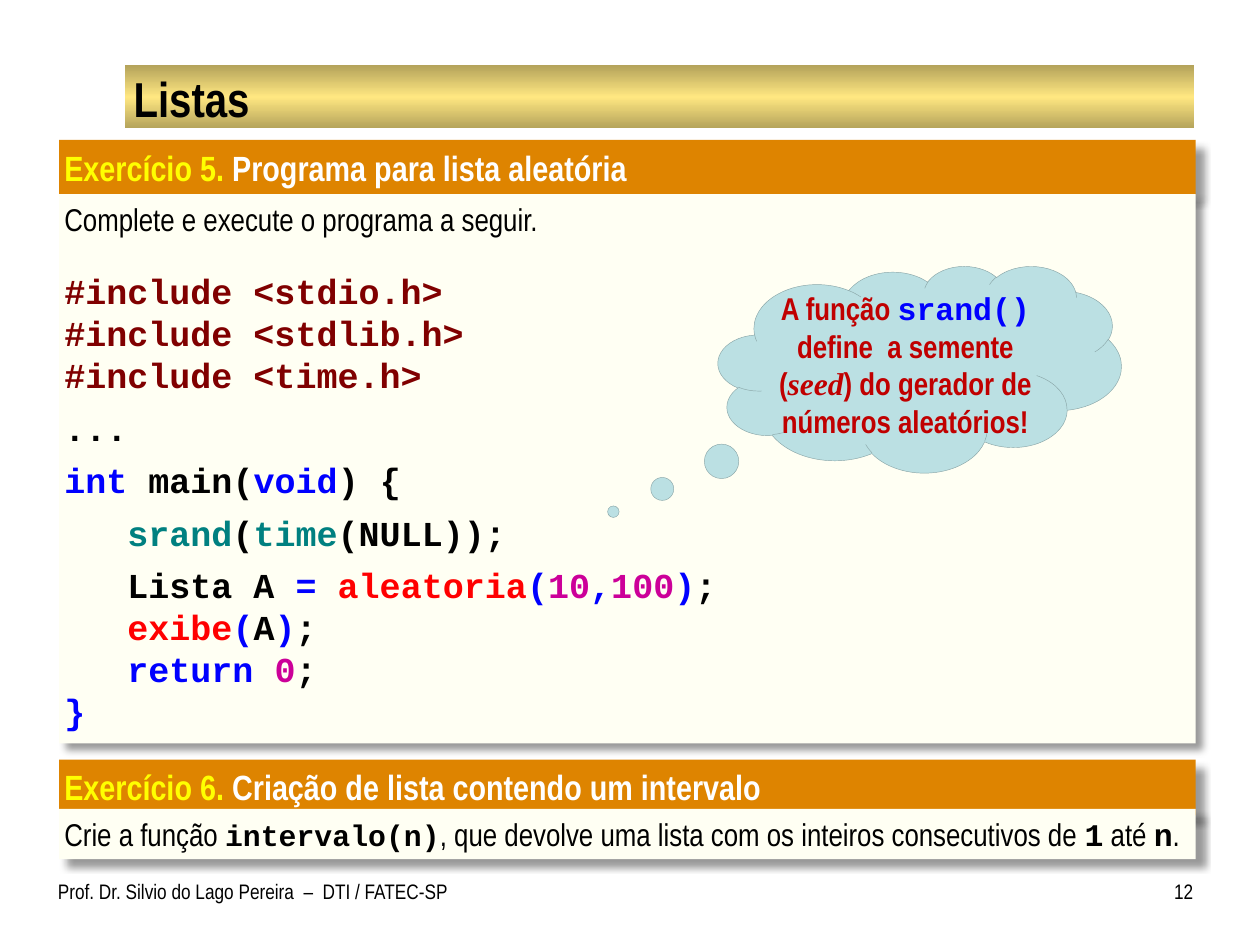
from dataclasses import dataclass, field

from lxml.etree import SubElement
from pptx import Presentation
from pptx.dml.color import RGBColor as Color
from pptx.enum.shapes import MSO_SHAPE as Shape
from pptx.enum.text import MSO_ANCHOR as Anchor
from pptx.enum.text import MSO_AUTO_SIZE as Fit
from pptx.enum.text import PP_ALIGN as Align
from pptx.oxml.ns import qn
from pptx.util import Inches, Pt


def face(size, name, colour, bold=False, italic=False):
    return {"size": Pt(size), "name": name, "bold": bold, "italic": italic, "colour": colour}


def code(colour, size=20):
    return face(size, "Courier New", colour, bold=True)


def narrow(size, colour="000000", bold=False):
    return face(size, "Arial Narrow", colour, bold)


@dataclass
class Theme:
    header: str = "DE8400"
    panel: str = "FFFFF3"
    cloud: str = "BBE0E3"
    cloud_line: str = "8AA6A8"
    bar_edge: str = "B4A35B"
    bar_middle: str = "FFE781"
    shadow: str = "000000"
    fonts: dict = field(default_factory=lambda: {
        "title": narrow(28, bold=True),
        "number": narrow(20, "FFFF00", True),
        "heading": narrow(20, "FFFFFF", True),
        "body": narrow(18),
        "footer": narrow(12),
        "include": code("800000"),
        "plain": code("000000"),
        "keyword": code("0000FF"),
        "library": code("008080"),
        "call": code("FF0000"),
        "literal": code("CC0099"),
        "signature": code("000000", 17),
        "symbol": code("000000", 18),
        "note": narrow(18, "C00000", True),
        "note code": code("0000FF", 18),
        "note term": face(18, "Times New Roman", "C00000", True, True),
    })


class ExerciseSlide:
    """Draws lecture slide elements on a grid of 100 columns by 75 rows."""

    def __init__(self, deck, theme):
        self.theme = theme
        self.cell = deck.slide_width / 100
        self.page = deck.slides.add_slide(deck.slide_layouts[5])

    def place(self, frame):
        return [round(length * self.cell) for length in frame]

    def add_text(self, box, lines, margins, **format_values):
        frame = box.text_frame
        values = {"word_wrap": True, "auto_size": Fit.NONE, "vertical_anchor": Anchor.TOP}
        values.update(format_values)
        sides = ("margin_left", "margin_top", "margin_right", "margin_bottom")
        values.update(zip(sides, map(Inches, margins)))
        for name, value in values.items():
            setattr(frame, name, value)
        for index, (spans, layout) in enumerate(lines):
            para = frame.paragraphs[0] if index == 0 else frame.add_paragraph()
            para.alignment = layout.get("align", Align.LEFT)
            para.space_before = Pt(layout.get("before", 0))
            if "indent" in layout:
                para._p.get_or_add_pPr().set("marL", str(Inches(layout["indent"])))
            for style, text in spans:
                span = para.add_run()
                span.text = text
                for name, value in self.theme.fonts[style].items():
                    if name == "colour":
                        span.font.color.rgb = Color.from_string(value)
                    else:
                        setattr(span.font, name, value)

    def shape(self, kind, frame, fill):
        box = self.page.shapes.add_shape(kind, *self.place(frame))
        box.shadow.inherit = False
        box.fill.solid()
        box.fill.fore_color.rgb = Color.from_string(fill)
        box.line.fill.background()
        return box

    def title(self, frame, text):
        box = self.page.shapes.title
        box.left, box.top, box.width, box.height = self.place(frame)
        self.add_text(box, [([("title", text)], {})], (0.06, 0.01, 0.06, 0.01),
                      vertical_anchor=Anchor.MIDDLE)

    def title_bar(self, frame):
        bar = self.shape(Shape.RECTANGLE, frame, self.theme.bar_middle)
        properties = bar._element.spPr
        solid = properties.find(qn("a:solidFill"))
        gradient = SubElement(properties, qn("a:gradFill"), rotWithShape="1")
        properties.replace(solid, gradient)
        stops = SubElement(gradient, qn("a:gsLst"))
        edge, middle = self.theme.bar_edge, self.theme.bar_middle
        for share, colour in ((0, edge), (50, middle), (100, edge)):
            stop = SubElement(stops, qn("a:gs"), pos=str(share * 1000))
            SubElement(stop, qn("a:srgbClr"), val=colour)
        SubElement(gradient, qn("a:lin"), ang="5400000", scaled="1")
        self.page.shapes._spTree.insert(2, bar._element)

    def panel(self, frame, fill, lines, right=0.04):
        box = self.shape(Shape.RECTANGLE, frame, fill)
        effects = box._element.spPr.find(qn("a:effectLst"))
        shadow = SubElement(effects, qn("a:outerShdw"), blurRad=str(Pt(4)), dist=str(Pt(6)),
                            dir="2700000", algn="tl", rotWithShape="0")
        colour = SubElement(shadow, qn("a:srgbClr"), val=self.theme.shadow)
        SubElement(colour, qn("a:alpha"), val="40000")
        self.add_text(box, lines, (0.04, 0.05, right, 0.05), auto_size=Fit.SHAPE_TO_FIT_TEXT)

    def exercise(self, top, body_top, body_height, number, heading, lines):
        left, width = 4.7, 90.2
        spans = [("number", f"Exercício {number}."), ("heading", f" {heading}")]
        self.panel((left, top, width, 4.4), self.theme.header, [(spans, {})], right=0.1)
        self.panel((left, body_top, width, body_height), self.theme.panel, lines)

    def cloud(self, frame, tail, spans):
        box = self.shape(Shape.CLOUD_CALLOUT, frame, self.theme.cloud)
        box.line.color.rgb = Color.from_string(self.theme.cloud_line)
        box.line.width = Pt(0.25)
        for index, value in enumerate(tail):
            box.adjustments[index] = value
        self.add_text(box, [(spans, {"align": Align.CENTER})], (0, 0.04, 0, 0.04),
                      vertical_anchor=Anchor.MIDDLE)

    def footer(self, frame, text, margins, align=Align.LEFT):
        box = self.page.shapes.add_textbox(*self.place(frame))
        self.add_text(box, [([("footer", text)], {"align": align})], margins)


def main():
    deck = Presentation()
    deck.slide_width, deck.slide_height = Inches(10), Inches(7.5)
    slide = ExerciseSlide(deck, Theme())
    justified = {"align": Align.JUSTIFY}
    spaced = {"before": 6}
    inner = {"indent": 0.5}
    opening = {**justified, **spaced}

    program = [
        ([("body", "Complete e execute o programa a seguir.")], opening),
        ([("include", "#include <stdio.h>")], {**justified, "before": 18}),
        ([("include", "#include <stdlib.h>")], justified),
        ([("include", "#include <time.h>")], justified),
        ([("plain", "...")], spaced),
        ([("keyword", "int"), ("plain", " main("), ("keyword", "void"), ("plain", ") {")],
         spaced),
        ([("library", "srand"), ("plain", "("), ("library", "time"), ("plain", "(NULL));")],
         {**inner, **spaced}),
        ([("plain", "Lista A "), ("keyword", "= "), ("call", "aleatoria"), ("keyword", "("),
          ("literal", "10"), ("keyword", ","), ("literal", "100"), ("keyword", ")"),
          ("plain", ";")], {**inner, **spaced}),
        ([("call", "exibe"), ("keyword", "("), ("plain", "A"), ("keyword", ")"),
          ("plain", ";")], inner),
        ([("keyword", "return "), ("literal", "0"), ("plain", ";")], inner),
        ([("keyword", "}")], {}),
    ]
    interval = [
        ([("body", "Crie a função "), ("signature", "intervalo(n)"),
          ("body", ", que devolve uma lista com os inteiros consecutivos de "),
          ("symbol", "1"), ("body", " até "), ("symbol", "n"), ("body", ".")], opening),
    ]
    note = [
        ("note", "A função "), ("note code", "srand()"), ("note", " define  a semente ("),
        ("note term", "seed"), ("note", ") do gerador de números aleatórios!"),
    ]

    slide.title_bar((9.9, 5.2, 84.9, 5))
    slide.title((10, 5.4, 84.7, 4.7), "Listas")
    slide.exercise(11.1, 15.4, 43.6, 5, "Programa para lista aleatória", program)
    slide.footer((4.6, 69.2, 32.7, 4.2),
                 "Prof. Dr. Silvio do Lago Pereira  –  DTI / FATEC-SP", (0, 0.05, 0.1, 0.05))
    slide.footer((90.8, 69.2, 3.9, 4.2), "12", (0.1, 0.05, 0, 0.05), Align.RIGHT)
    slide.exercise(60.3, 64.2, 4, 6, "Criação de lista contendo um intervalo", interval)
    slide.cloud((57, 21.1, 32, 16.4), (-0.76, 0.69), note)
    deck.save("out.pptx")


if __name__ == "__main__":
    main()
